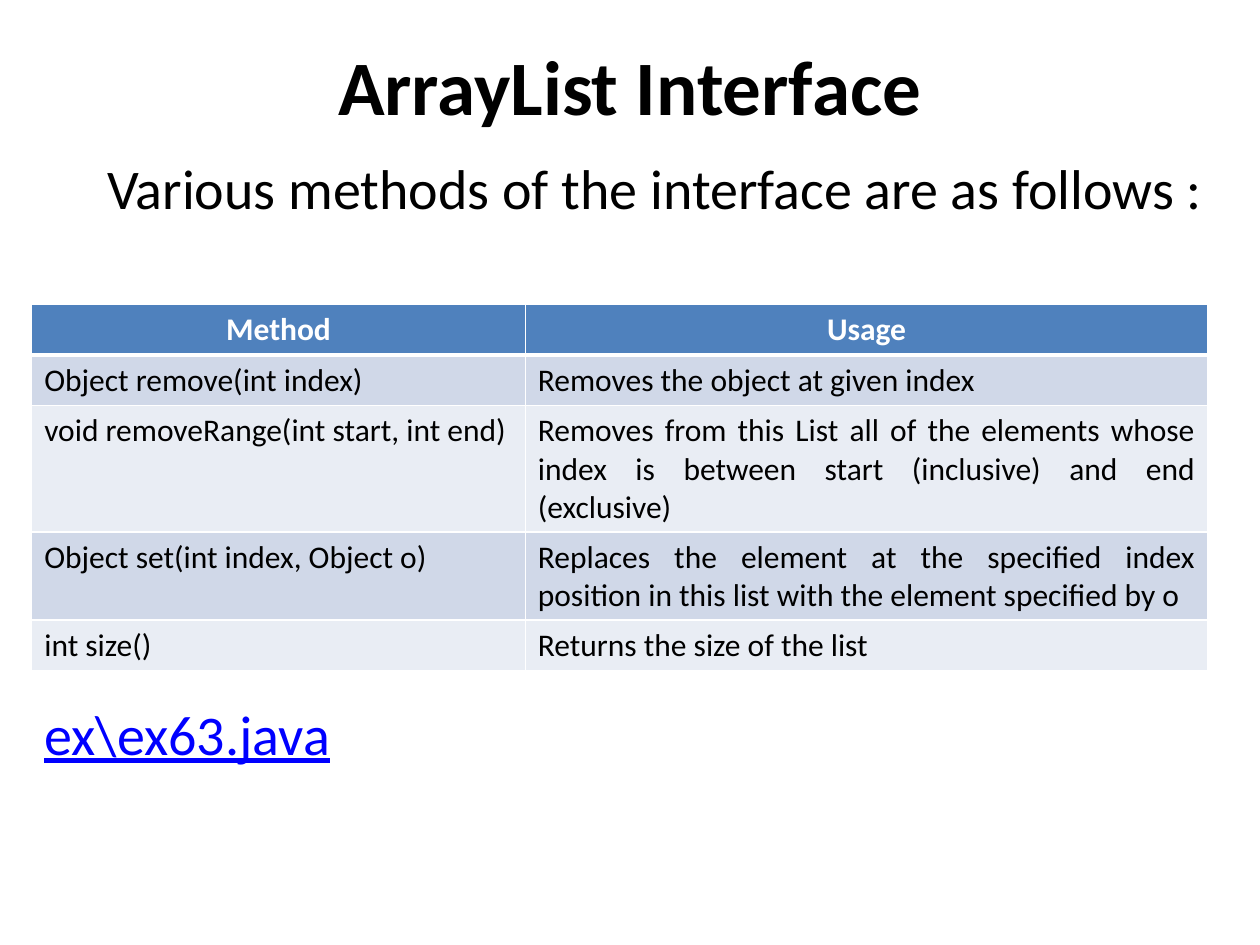
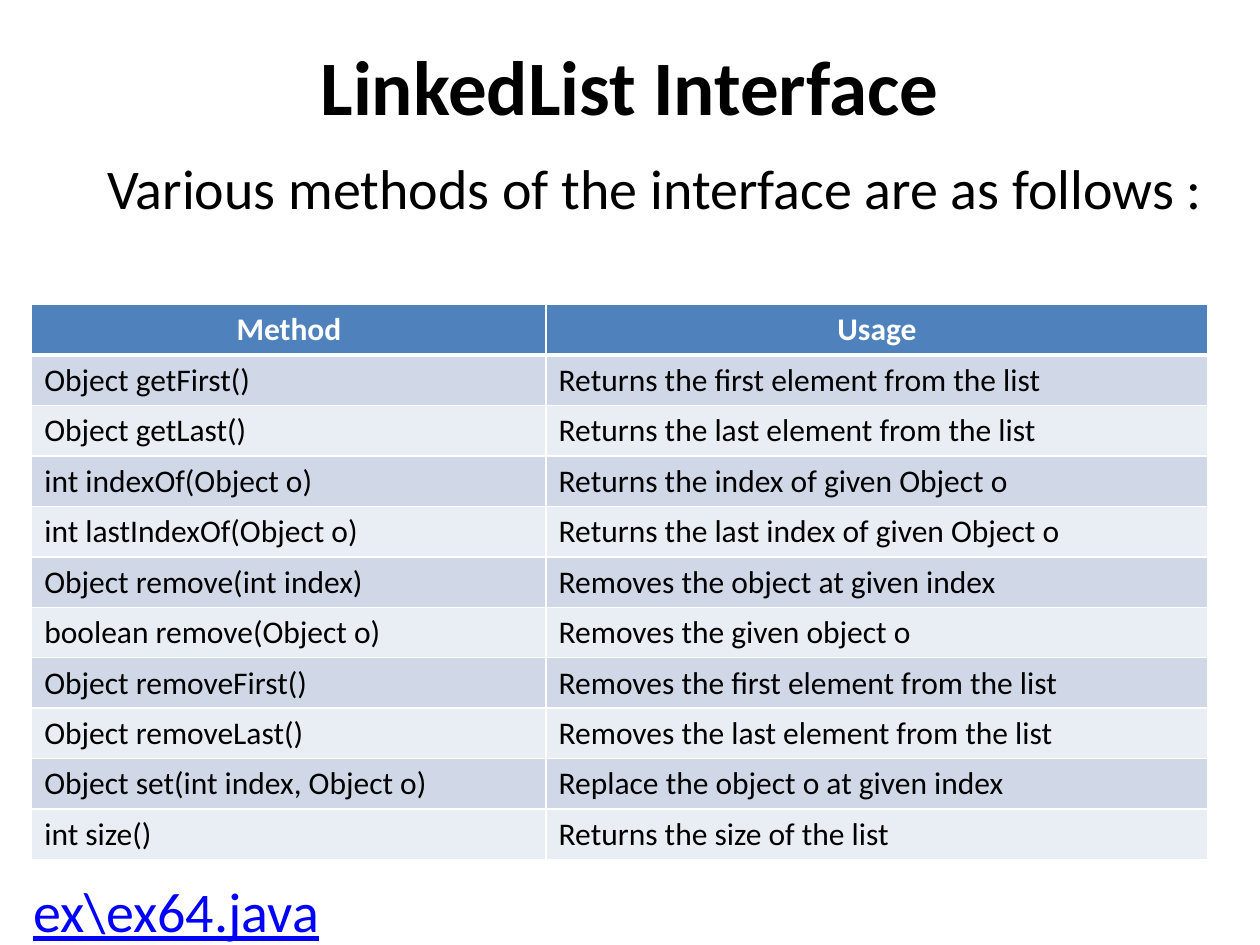
from lxml.etree import SubElement
from pptx import Presentation
from pptx.dml.color import RGBColor
from pptx.enum.text import MSO_ANCHOR, MSO_AUTO_SIZE, PP_ALIGN
from pptx.oxml.ns import qn
from pptx.util import Cm, Pt

INTRODUCTION = "\tVarious methods of the interface are as follows :"
HEADINGS = ("Method", "Usage")
SLIDES = [
    {
        "title": "ArrayList Interface",
        "methods": [
            ("Object remove(int index)", "Removes the object at given index"),
            ("void removeRange(int start, int end)",
             "Removes from this List all of the elements whose index is between "
             "start (inclusive) and end (exclusive)"),
            ("Object set(int index, Object o)",
             "Replaces the element at the specified index position in this list "
             "with the element specified by o"),
            ("int size()", "Returns the size of the list"),
        ],
        "line_counts": {2: 3, 3: 2},
        "method_width": 9.95,
        "example": "ex\\ex63.java",
        "example_position": (0.64, 13.97),
    },
    {
        "title": "LinkedList Interface",
        "methods": [
            ("Object getFirst()", "Returns the first element from the list"),
            ("Object getLast()", "Returns the last element from the list"),
            ("int indexOf(Object o)", "Returns the index of given Object o"),
            ("int lastIndexOf(Object o)", "Returns the last index of given Object o"),
            ("Object remove(int index)", "Removes the object at given index"),
            ("boolean remove(Object o)", "Removes the given object o"),
            ("Object removeFirst()", "Removes the first element from the list"),
            ("Object removeLast()", "Removes the last element from the list"),
            ("Object set(int index, Object o)", "Replace the object o at given index"),
            ("int size()", "Returns the size of the list"),
        ],
        "line_counts": {},
        "method_width": 10.37,
        "example": "ex\\ex64.java",
        "example_position": (0.42, 17.55),
    },
]

SLIDE_WIDTH, SLIDE_HEIGHT = 25.4, 19.05
MARGIN = 0.64
TEXT_WIDTH = 24.34
TABLE_TOP, TABLE_WIDTH = 6.14, 23.71
ROW_HEIGHT, EXTRA_LINE = 1.01, 0.77
BLACK, WHITE, LINK_BLUE = "000000", "FFFFFF", "0000FF"
HEADER_FILL, BAND_FILLS = "4F81BD", ("E9EDF4", "D0D8E8")

TITLE = {"size": Pt(44), "bold": True}
BODY = {"size": Pt(32)}
LINK = {"size": Pt(32), "underline": True}
HEADER = {"size": Pt(18), "bold": True}
CELL = {"size": Pt(18), "bold": False}


def color(value):
    return RGBColor.from_string(value)


def write(text_frame, text, font_format, font_color, alignment):
    paragraph = text_frame.paragraphs[0]
    paragraph.alignment = alignment
    run = paragraph.add_run()
    run.text = text
    run.font.name = "Calibri"
    run.font.color.rgb = color(font_color)
    for attribute, value in font_format.items():
        setattr(run.font, attribute, value)


def add_title(slide, text):
    title = slide.shapes.title
    place = {"left": 0, "top": Cm(0.43), "width": Cm(SLIDE_WIDTH), "height": Cm(2.54)}
    for attribute, value in place.items():
        setattr(title, attribute, value)
    title.text_frame.vertical_anchor = MSO_ANCHOR.MIDDLE
    write(title.text_frame, text, TITLE, BLACK, PP_ALIGN.CENTER)


def add_text(slide, text, left, top, height, font_format, font_color):
    box = slide.shapes.add_textbox(Cm(left), Cm(top), Cm(TEXT_WIDTH), Cm(height))
    box.text_frame.word_wrap = True
    box.text_frame.auto_size = MSO_AUTO_SIZE.SHAPE_TO_FIT_TEXT
    write(box.text_frame, text, font_format, font_color, PP_ALIGN.JUSTIFY)


def set_borders(cell, bottom_width):
    properties = cell._tc.get_or_add_tcPr()
    for side, width in (("L", 1), ("R", 1), ("T", 1), ("B", bottom_width)):
        line = SubElement(properties, qn(f"a:ln{side}"), w=str(Pt(width)))
        SubElement(SubElement(line, qn("a:solidFill")), qn("a:srgbClr"), val=WHITE)


def add_method_table(slide, methods, line_counts, method_width):
    rows = [HEADINGS, *methods]
    heights = [ROW_HEIGHT + EXTRA_LINE * (line_counts.get(index, 1) - 1)
               for index in range(len(rows))]
    table = slide.shapes.add_table(len(rows), len(HEADINGS), Cm(MARGIN), Cm(TABLE_TOP),
                                   Cm(TABLE_WIDTH), Cm(sum(heights))).table
    for column, width in zip(table.columns, (method_width, TABLE_WIDTH - method_width)):
        column.width = Cm(width)
    for row_index, row in enumerate(rows):
        table.rows[row_index].height = Cm(heights[row_index])
        is_header = row_index == 0
        for column_index, text in enumerate(row):
            cell = table.cell(row_index, column_index)
            set_borders(cell, 3 if is_header else 1)
            cell.fill.solid()
            if is_header:
                cell.fill.fore_color.rgb = color(HEADER_FILL)
                write(cell.text_frame, text, HEADER, WHITE, PP_ALIGN.CENTER)
            else:
                cell.fill.fore_color.rgb = color(BAND_FILLS[row_index % 2])
                alignment = (PP_ALIGN.LEFT, PP_ALIGN.JUSTIFY)[column_index]
                write(cell.text_frame, text, CELL, BLACK, alignment)


def main():
    presentation = Presentation()
    presentation.slide_width = Cm(SLIDE_WIDTH)
    presentation.slide_height = Cm(SLIDE_HEIGHT)
    for content in SLIDES:
        slide = presentation.slides.add_slide(presentation.slide_layouts[5])
        add_title(slide, content["title"])
        add_text(slide, INTRODUCTION, MARGIN, 2.97, 3, BODY, BLACK)
        add_method_table(slide, content["methods"], content["line_counts"],
                         content["method_width"])
        add_text(slide, content["example"], *content["example_position"], 1.62,
                 LINK, LINK_BLUE)
    presentation.save("out.pptx")


if __name__ == "__main__":
    main()
